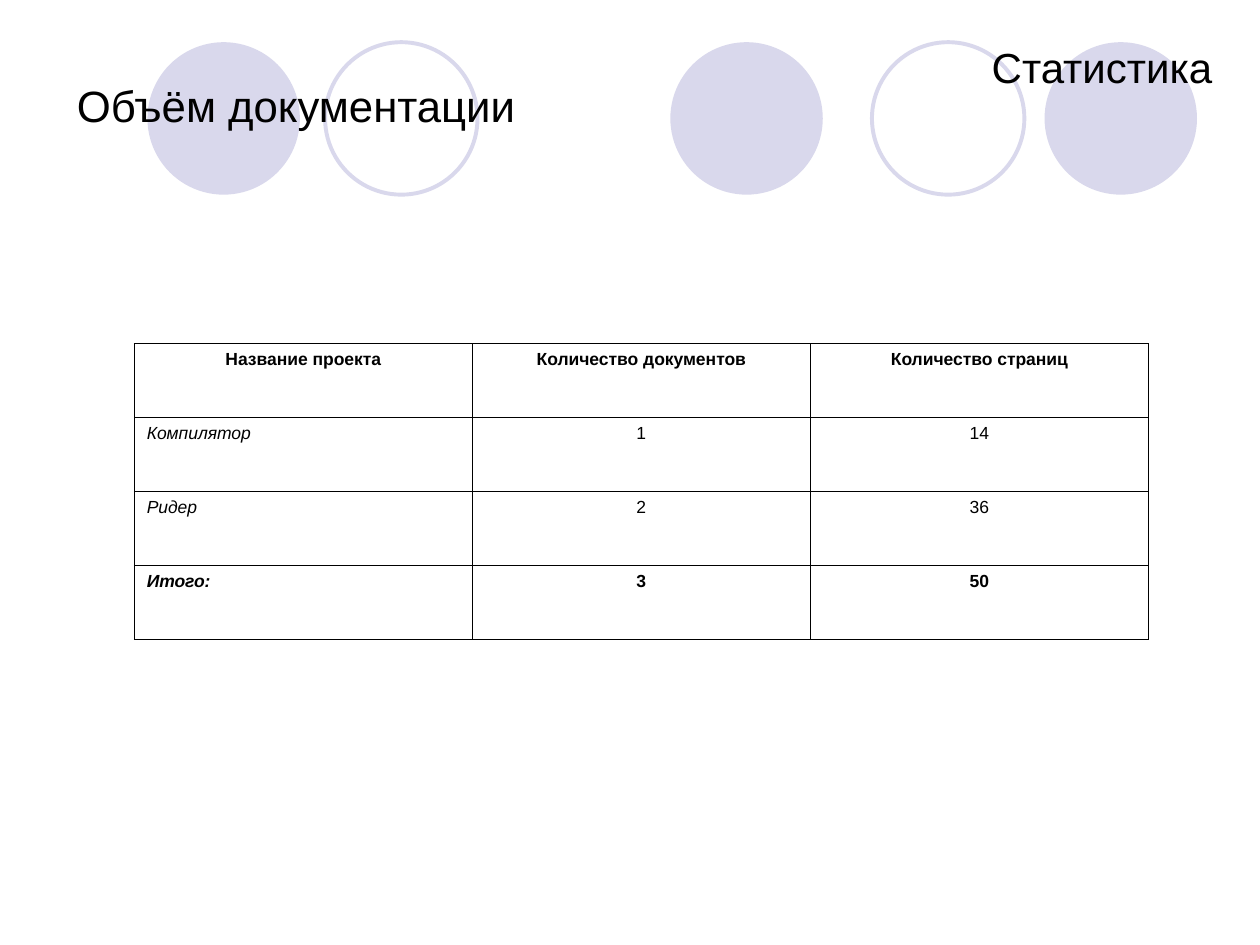
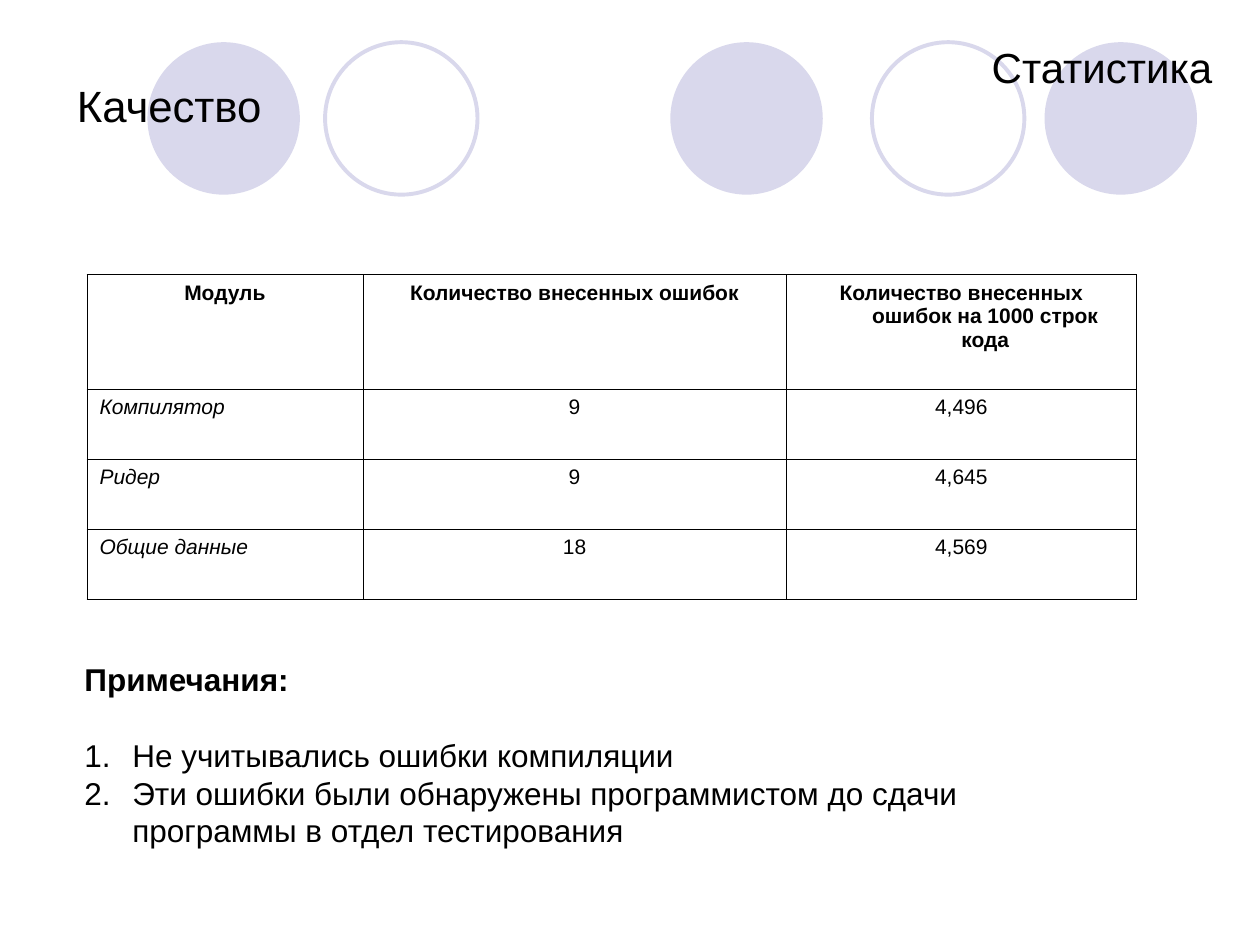
from dataclasses import dataclass

from lxml import etree
from pptx import Presentation
from pptx.dml.color import RGBColor
from pptx.enum.shapes import MSO_SHAPE
from pptx.enum.text import MSO_ANCHOR, MSO_AUTO_SIZE, PP_ALIGN
from pptx.oxml.ns import qn
from pptx.util import Emu, Inches, Pt

OVAL = MSO_SHAPE.OVAL
MIDDLE, TOP = MSO_ANCHOR.MIDDLE, MSO_ANCHOR.TOP
LEFT, CENTER, RIGHT = PP_ALIGN.LEFT, PP_ALIGN.CENTER, PP_ALIGN.RIGHT
NO_AUTOFIT = MSO_AUTO_SIZE.NONE

WIDTH, HEIGHT = Inches(10), Inches(7.5)
COLUMNS, ROWS = 100, 75
TITLE_AND_BODY, TITLE_ONLY = 1, 5


@dataclass(frozen=True)
class Theme:
    font: str = "Arial"
    ink: RGBColor = RGBColor(0, 0, 0)
    paper: RGBColor = RGBColor(255, 255, 255)
    lavender: RGBColor = RGBColor(0xD9, 0xD8, 0xEC)
    title_size: Pt = Pt(25)
    section_size: Pt = Pt(24)
    remark_size: Pt = Pt(18)
    remark_leading: Pt = Pt(21.6)
    ring_line: Pt = Pt(2.25)
    border: Pt = Pt(0.45)
    hanging: Inches = Inches(0.38)


@dataclass(frozen=True)
class Box:
    column: float
    row: float
    columns: float
    rows: float

    def place(self):
        return (across(self.column), down(self.row),
                across(self.columns), down(self.rows))


THEME = Theme()
CIRCLE_BAND = Box(11.7, 3.35, 83.3, 12.1)
TITLE_BOX = Box(5.1, 2.1, 54.3, 12.5)
SECTION_BOX = Box(75.2, 2.8, 22, 5)
CIRCLES = [(0, True), (14.1, False), (41.5, True), (57.5, False), (71.2, True)]


def across(columns):
    return Emu(int(WIDTH * columns / COLUMNS))


def down(rows):
    return Emu(int(HEIGHT * rows / ROWS))


def apply(target, values):
    for name, value in values.items():
        setattr(target, name, value)


def move(shape, box):
    apply(shape, dict(zip(("left", "top", "width", "height"), box.place())))


def style_text(paragraph, size, layout=None, **font):
    apply(paragraph, {"alignment": LEFT, "space_before": Pt(0), **(layout or {})})
    apply(paragraph.font, {"name": THEME.font, "size": size, "bold": False, **font})
    paragraph.font.color.rgb = THEME.ink


def hang(paragraph, numbered=False):
    properties = paragraph._p.get_or_add_pPr()
    properties.set("marL", str(THEME.hanging))
    properties.set("indent", str(-THEME.hanging))
    if numbered:
        color = etree.SubElement(properties, qn("a:buClr"))
        etree.SubElement(color, qn("a:srgbClr"), val=str(THEME.ink))
        etree.SubElement(properties, qn("a:buFont"), typeface=THEME.font)
        etree.SubElement(properties, qn("a:buAutoNum"), type="arabicPeriod")
    else:
        etree.SubElement(properties, qn("a:buNone"))


def add_master_circles(master, slide, band):
    for index, (offset, filled) in enumerate(CIRCLES):
        spot = Box(band.column + offset, band.row, band.rows, band.rows)
        circle = slide.shapes.add_shape(OVAL, *spot.place())
        circle.shadow.inherit = False
        if filled:
            circle.fill.solid()
            circle.fill.fore_color.rgb = THEME.lavender
            circle.line.fill.background()
        else:
            circle.fill.background()
            circle.line.color.rgb = THEME.lavender
            circle.line.width = THEME.ring_line
        circle.element.nvSpPr.cNvPr.set("id", str(100 + index))
        master.shapes.element.insert(2 + index, circle.element)


def add_heading(slide, title, section="Статистика"):
    heading = slide.shapes.title
    move(heading, TITLE_BOX)
    label = slide.shapes.add_textbox(*SECTION_BOX.place())
    for shape, text, size, anchor, align in (
            (heading, title, THEME.title_size, MIDDLE, LEFT),
            (label, section, THEME.section_size, TOP, RIGHT)):
        frame = shape.text_frame
        frame.text = text
        apply(frame, {"word_wrap": True, "auto_size": NO_AUTOFIT,
                      "vertical_anchor": anchor})
        style_text(frame.paragraphs[0], size, {"alignment": align})


def add_borders(cell):
    properties = cell._tc.get_or_add_tcPr()
    for index, side in enumerate(("a:lnL", "a:lnR", "a:lnT", "a:lnB")):
        line = etree.Element(qn(side), w=str(THEME.border))
        fill = etree.SubElement(line, qn("a:solidFill"))
        etree.SubElement(fill, qn("a:srgbClr"), val=str(THEME.ink))
        properties.insert(index, line)


def add_statistics(slide, box, widths, heights, records, size, bold_rows):
    table = slide.shapes.add_table(len(records), len(widths), *box.place()).table
    apply(table, {"first_row": False, "horz_banding": False})
    for column, share in zip(table.columns, widths):
        column.width = across(box.columns * share / sum(widths))
    for row, share in zip(table.rows, heights):
        row.height = down(box.rows * share / sum(heights))
    for r, record in enumerate(records):
        for c, text in enumerate(record):
            cell = table.cell(r, c)
            cell.text = text
            cell.fill.solid()
            cell.fill.fore_color.rgb = THEME.paper
            add_borders(cell)
            is_name = r > 0 and c == 0
            paragraph = cell.text_frame.paragraphs[0]
            hang(paragraph)
            style_text(paragraph, size, {"alignment": LEFT if is_name else CENTER},
                       bold=r in bold_rows, italic=is_name)


def add_remarks(slide, box, caption, remarks):
    body = slide.placeholders[1]
    move(body, box)
    frame = body.text_frame
    apply(frame, {"word_wrap": True, "auto_size": NO_AUTOFIT, "vertical_anchor": TOP})
    for index, text in enumerate([caption, *remarks]):
        paragraph = frame.add_paragraph() if index else frame.paragraphs[0]
        paragraph.text = text
        hang(paragraph, numbered=index > 0)
        gap = THEME.remark_leading if index == 1 else Pt(0)
        style_text(paragraph, THEME.remark_size,
                   {"line_spacing": THEME.remark_leading, "space_before": gap},
                   bold=index == 0)


def build_volume(slide):
    add_heading(slide, "Объём документации")
    add_statistics(slide, Box(10.65, 27.25, 80.5, 23.5), [1, 1, 1], [1, 1, 1, 1], [
        ("Название проекта", "Количество документов", "Количество страниц"),
        ("Компилятор", "1", "14"),
        ("Ридер", "2", "36"),
        ("Итого:", "3", "50"),
    ], Pt(10), bold_rows=(0, 3))


def build_quality(slide):
    add_heading(slide, "Качество")
    add_statistics(slide, Box(6.9, 21.8, 83.3, 25.8), [2.19, 3.36, 2.78],
                   [0.91, 0.56, 0.56, 0.56], [
        ("Модуль", "Количество внесенных ошибок",
         "Количество внесенных ошибок на 1000 строк кода"),
        ("Компилятор", "9", "4,496"),
        ("Ридер", "9", "4,645"),
        ("Общие данные", "18", "4,569"),
    ], Pt(12), bold_rows=(0,))
    add_remarks(slide, Box(5.7, 51.9, 84.5, 16), "Примечания:", [
        "Не учитывались ошибки компиляции",
        "Эти ошибки были обнаружены программистом до сдачи "
        "программы в отдел тестирования",
    ])


def main():
    deck = Presentation()
    apply(deck, {"slide_width": WIDTH, "slide_height": HEIGHT})
    volume = deck.slides.add_slide(deck.slide_layouts[TITLE_ONLY])
    add_master_circles(deck.slide_master, volume, CIRCLE_BAND)
    build_volume(volume)
    build_quality(deck.slides.add_slide(deck.slide_layouts[TITLE_AND_BODY]))
    deck.save("out.pptx")


if __name__ == "__main__":
    main()
